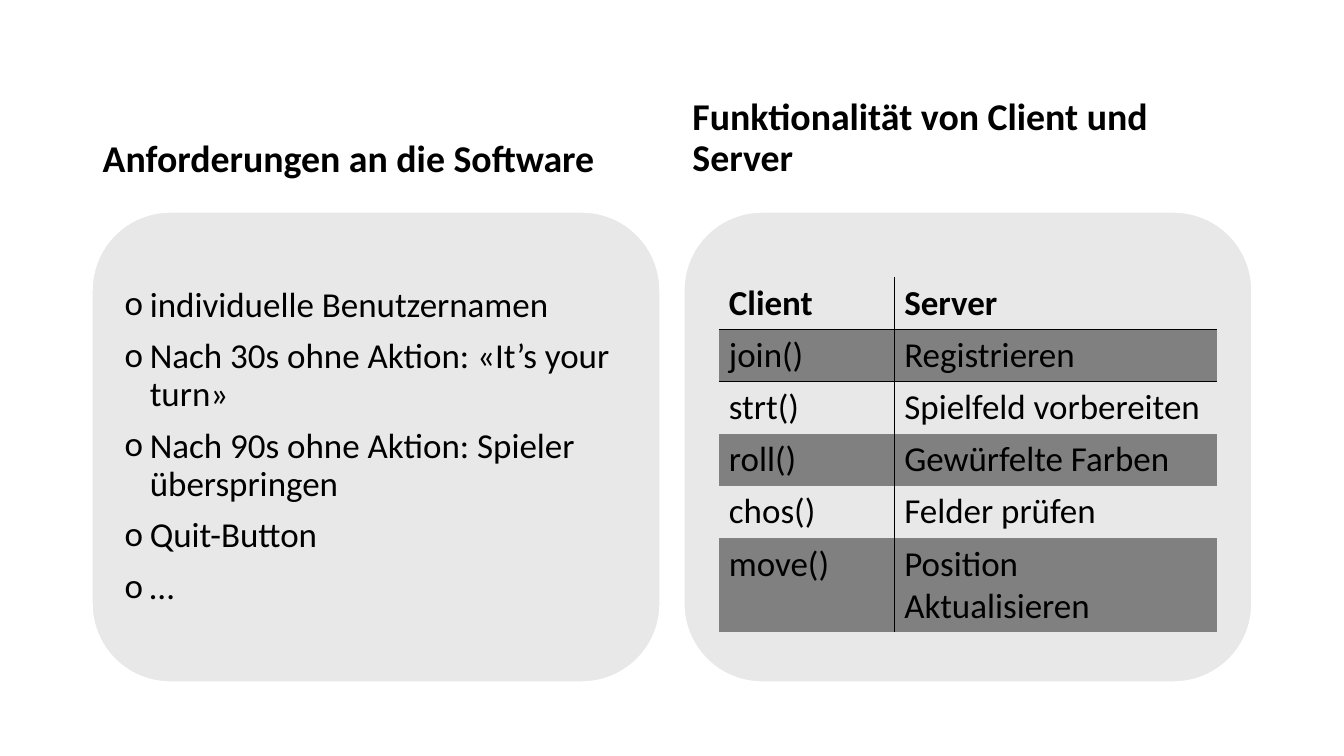
from dataclasses import dataclass

from lxml import etree
from pptx import Presentation
from pptx.dml.color import RGBColor
from pptx.enum.shapes import MSO_SHAPE
from pptx.enum.text import MSO_ANCHOR, PP_ALIGN
from pptx.oxml.ns import qn
from pptx.util import Emu, Pt

ROUND_RECT = MSO_SHAPE.ROUNDED_RECTANGLE
BOTTOM, MIDDLE = MSO_ANCHOR.BOTTOM, MSO_ANCHOR.MIDDLE
LEFT = PP_ALIGN.LEFT
PX = 9144
NO_TABLE_STYLE = "{2D5ABB26-0587-4C30-8999-92F81FD0307C}"


@dataclass(frozen=True)
class Theme:
    font: str = "Calibri"
    ink: str = "000000"
    panel: str = "E8E8E8"
    edge: str = "FFFFFF"
    band: str = "808080"
    band_alpha: int = 20
    heading: int = 27
    body: int = 25
    line_spacing: float = 0.9
    space_before: int = 10


def px(*values):
    return [Emu(v * PX) for v in values]


def rgb(color):
    return RGBColor.from_string(color)


def write(p, text, *, font, size, color, bold=False, spacing=None, before=None):
    p.alignment = LEFT
    if spacing is not None:
        p.line_spacing = spacing
    if before is not None:
        p.space_before = Pt(before)
    r = p.add_run()
    r.text = text
    r.font.name = font
    r.font.size = Pt(size)
    r.font.bold = bold
    r.font.color.rgb = rgb(color)


class SlideBuilder:
    def __init__(self, prs, theme):
        self.theme = theme
        self.s = prs.slides.add_slide(prs.slide_layouts[6])

    def text(self, p, text, **kwargs):
        t = self.theme
        write(p, text, **{"font": t.font, "size": t.body, "color": t.ink, **kwargs})

    def paragraph(self, p, text, **kwargs):
        t = self.theme
        self.text(p, text, spacing=t.line_spacing, before=t.space_before, **kwargs)

    def heading(self, text, x, y, w, h):
        tf = self.s.shapes.add_textbox(*px(x, y, w, h)).text_frame
        tf.word_wrap = True
        tf.vertical_anchor = BOTTOM
        self.paragraph(tf.paragraphs[0], text, size=self.theme.heading, bold=True)

    def panel(self, x, y, w, h):
        sp = self.s.shapes.add_shape(ROUND_RECT, *px(x, y, w, h))
        sp.shadow.inherit = False
        sp.fill.solid()
        sp.fill.fore_color.rgb = rgb(self.theme.panel)
        sp.line.color.rgb = rgb(self.theme.edge)
        sp.line.width = Pt(1.5)
        return sp

    def bullets(self, sp, items, indent):
        tf = sp.text_frame
        tf.word_wrap = True
        tf.vertical_anchor = MIDDLE
        for i, item in enumerate(items):
            p = tf.add_paragraph() if i else tf.paragraphs[0]
            self.paragraph(p, item)
            pPr = p._p.get_or_add_pPr()
            pPr.set("marL", str(indent * PX))
            pPr.set("indent", str(-indent * PX))
            etree.SubElement(pPr, qn("a:buFont"), typeface=self.theme.font)
            etree.SubElement(pPr, qn("a:buChar"), char="o")

    def border(self, cell, side):
        tcPr = cell._tc.get_or_add_tcPr()
        ln = etree.SubElement(tcPr, qn(f"a:ln{side}"), w=str(Pt(1)))
        fill = etree.SubElement(ln, qn("a:solidFill"))
        etree.SubElement(fill, qn("a:srgbClr"), val=self.theme.ink)

    def cell_fill(self, cell, banded):
        if not banded:
            cell.fill.background()
            return
        cell.fill.solid()
        cell.fill.fore_color.rgb = rgb(self.theme.band)
        clr = cell._tc.tcPr.find(".//" + qn("a:srgbClr"))
        etree.SubElement(clr, qn("a:alpha"), val=str(self.theme.band_alpha * 1000))

    def table(self, rows, x, y, col_widths, row_height):
        size = px(x, y, sum(col_widths), row_height * len(rows))
        tbl = self.s.shapes.add_table(len(rows), len(col_widths), *size).table
        tbl.horz_banding = False
        tbl._tbl.tblPr.find(qn("a:tableStyleId")).text = NO_TABLE_STYLE
        for col, width in zip(tbl.columns, px(*col_widths)):
            col.width = width
        for i, values in enumerate(rows):
            tbl.rows[i].height = Emu(row_height * PX)
            for j, value in enumerate(values):
                cell = tbl.cell(i, j)
                self.text(cell.text_frame.paragraphs[0], value, bold=i == 0)
                self.border(cell, "L" if j else "R")
                if i == 1:
                    self.border(cell, "T")
                if i == 0:
                    self.border(cell, "B")
                self.cell_fill(cell, i % 2 == 1)


def main():
    prs = Presentation()
    prs.slide_width, prs.slide_height = px(1333, 750)
    slide = SlideBuilder(prs, Theme())

    top, width, height = 210, 564, 467
    slide.panel(678, top, width, height)
    slide.heading("Anforderungen an die Software", 92, 94, width, 90)
    slide.heading("Funktionalität von Client und Server", 677, 93, 567, 90)
    requirements = slide.panel(91, top, width, height)
    slide.bullets(requirements, [
        "individuelle Benutzernamen",
        "Nach 30s ohne Aktion: «It’s your turn»",
        "Nach 90s ohne Aktion: Spieler überspringen",
        "Quit-Button",
        "…",
    ], indent=25)
    slide.table([
        ("Client", "Server"),
        ("join()", "Registrieren"),
        ("strt()", "Spielfeld vorbereiten"),
        ("roll()", "Gewürfelte Farben"),
        ("chos()", "Felder prüfen"),
        ("move()", "Position Aktualisieren"),
    ], 713, 275, (174, 320), 41)

    prs.save("out.pptx")


if __name__ == "__main__":
    main()
